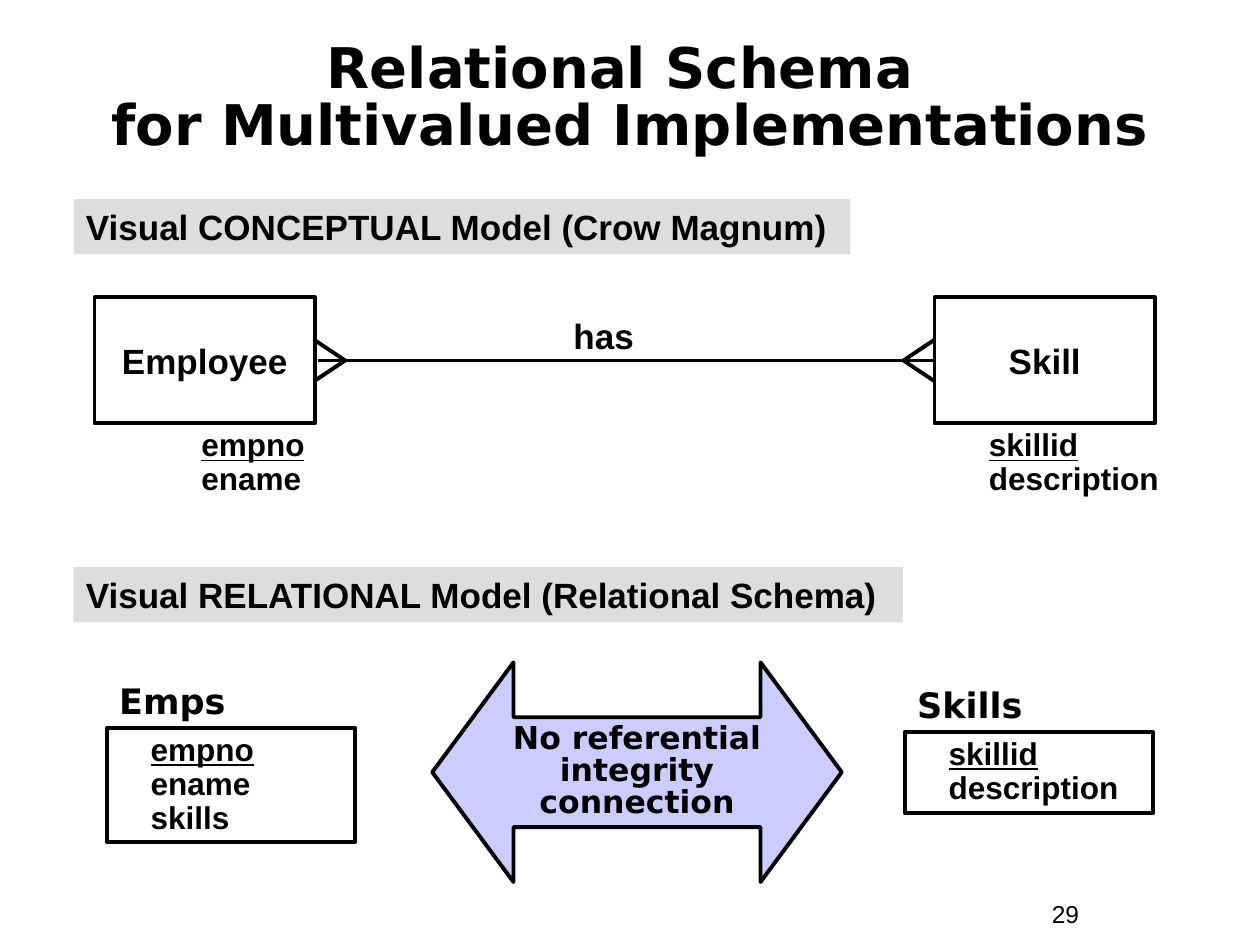
from dataclasses import dataclass

from lxml.etree import SubElement
from pptx import Presentation
from pptx.dml.color import RGBColor as RGB
from pptx.enum.shapes import MSO_CONNECTOR as CONN, MSO_SHAPE as SHAPE
from pptx.enum.text import MSO_ANCHOR as ANCHOR, PP_ALIGN as ALIGN
from pptx.oxml.ns import qn
from pptx.util import Pt


@dataclass(frozen=True)
class Theme:
    ink: RGB = RGB(0, 0, 0)
    band: RGB = RGB(0xDD, 0xDD, 0xDD)
    arrow: RGB = RGB(0xCC, 0xCC, 0xFF)
    body: str = "Arial"
    display: str = "DejaVu Sans"
    title: int = 32
    label: int = 20
    field: int = 18
    number: int = 14
    stroke: float = 2.25


T = Theme()

TITLE = "Relational Schema \vfor Multivalued Implementations"
BANDS = [
    ("Visual CONCEPTUAL Model (Crow Magnum)", 113.75, 444),
    ("Visual RELATIONAL Model (Relational Schema)", 324, 474),
]
ENTITIES = [
    ("Employee", 54, ["empno", "ename"], 108),
    ("Skill", 534, ["skillid", "description"], 558),
]
RELATION = "has"
TABLES = [
    ("Emps", 61, 416, ["empno", "ename", "skills"]),
    ("Skills", 517, 418.5, ["skillid", "description"]),
]
ARROW_TEXT = "No referential integrity connection"
PAGE = "29"

ENTITY_TOP, ENTITY_W, ENTITY_H = 170, 126, 72
MID_Y = ENTITY_TOP + ENTITY_H / 2
FEET = [(197.25, 179.25), (516.25, 534.25)]
FOOT_SPREAD = 12
LABEL_H = 31.5
FIELD_H, FIELD_PAD = 19.2, 7.6

prs = Presentation()
prs.slide_width, prs.slide_height = Pt(720), Pt(540)
s = prs.slides.add_slide(prs.slide_layouts[6])


def write(sp, lines, size, font=T.body, bold=True, align=ALIGN.LEFT,
          spacing=1.0, anchor=ANCHOR.TOP, wrap=True, indent=0, key=False):
    tf = sp.text_frame
    tf.word_wrap = wrap
    tf.vertical_anchor = anchor
    tf.text = "\n".join(lines)
    for i, p in enumerate(tf.paragraphs):
        p.alignment = align
        p.line_spacing = spacing
        if indent:
            p._p.get_or_add_pPr().set("marL", str(Pt(indent)))
        p.font.name, p.font.size, p.font.bold = font, Pt(size), bold
        p.font.color.rgb = T.ink
        if key and i == 0:
            p.runs[0].font.underline = True


def text(x, y, w, h, lines, size, **style):
    write(s.shapes.add_textbox(Pt(x), Pt(y), Pt(w), Pt(h)), lines, size, **style)


def shape(kind, x, y, w, h, fill=None, outlined=True):
    sp = s.shapes.add_shape(kind, Pt(x), Pt(y), Pt(w), Pt(h))
    sp.shadow.inherit = False
    if fill is None:
        sp.fill.background()
    else:
        sp.fill.solid()
        sp.fill.fore_color.rgb = fill
    if outlined:
        sp.line.color.rgb = T.ink
        sp.line.width = Pt(T.stroke)
    else:
        sp.line.fill.background()
    return sp


def line(x1, y1, x2, y2):
    c = s.shapes.add_connector(CONN.STRAIGHT, Pt(x1), Pt(y1), Pt(x2), Pt(y2))
    c.line.color.rgb = T.ink
    c.line.width = Pt(T.stroke)
    SubElement(c._element.spPr, qn("a:effectLst"))


text(24, 24, 672, 66, [TITLE], T.title, font=T.display, align=ALIGN.CENTER,
     spacing=0.85, anchor=ANCHOR.MIDDLE)
text(594, 510, 66, 24.5, [PAGE], T.number, bold=False)

for caption, y, w in BANDS:
    band = shape(SHAPE.RECTANGLE, 42, y, w, LABEL_H, T.band, outlined=False)
    write(band, [caption], T.label)

for name, x, fields, fields_x in ENTITIES:
    box = shape(SHAPE.RECTANGLE, x, ENTITY_TOP, ENTITY_W, ENTITY_H)
    write(box, [name], T.label, align=ALIGN.CENTER, anchor=ANCHOR.MIDDLE, wrap=False)
    text(fields_x, ENTITY_TOP + ENTITY_H, 120, FIELD_PAD + FIELD_H * len(fields),
         fields, T.field, spacing=0.9, key=True)

line(181.5, MID_Y, 533, MID_Y)
for apex, base in FEET:
    for dy in (-FOOT_SPREAD, FOOT_SPREAD):
        line(apex, MID_Y, base, MID_Y + dy)
text(270, 176, 150, LABEL_H, [RELATION], T.label, align=ALIGN.CENTER)

for name, x, y, fields in TABLES:
    text(x, y - LABEL_H, 155, LABEL_H, [name], T.label, font=T.display)
    box = shape(SHAPE.RECTANGLE, x, y, 142, FIELD_PAD + FIELD_H * len(fields))
    write(box, fields, T.field, spacing=0.9, indent=18, key=True)

arrow = shape(SHAPE.LEFT_RIGHT_ARROW, 247, 378.5, 234, 125.5, T.arrow)
arrow.adjustments[0], arrow.adjustments[1] = 0.5, 0.37
write(arrow, [ARROW_TEXT], T.field, font=T.display, align=ALIGN.CENTER,
      spacing=0.85, anchor=ANCHOR.MIDDLE)

prs.save("out.pptx")
